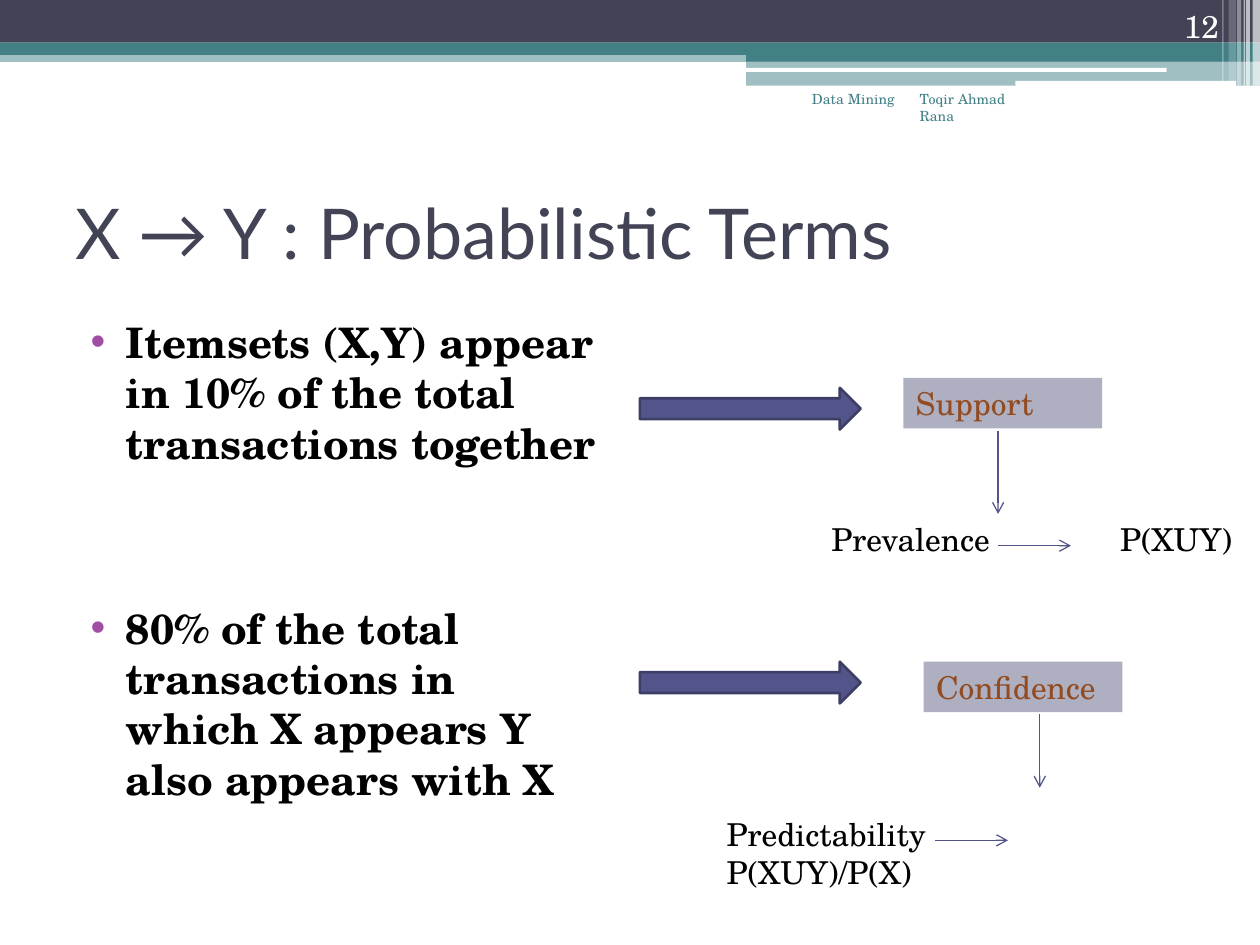
from pptx import Presentation
from pptx.dml.color import RGBColor
from pptx.enum.shapes import MSO_CONNECTOR, MSO_SHAPE
from pptx.enum.text import MSO_ANCHOR, PP_ALIGN
from pptx.oxml.ns import qn
from pptx.util import Cm, Pt
from lxml.etree import SubElement

BODY_FONT = "TeX Gyre Schola"
TITLE_FONT = "Lato"
NAVY, TEAL, WHITE, BLACK = "424456", "438086", "FFFFFF", "000000"
INDIGO, INDIGO_DARK = "53548A", "3D3E66"
LABEL_FILL, LABEL_TEXT, BULLET = "AEB0C1", "934C22", "A04DA3"

# Left, top, width, height, colour, opacity in percent
BANDS = [
    (0, 1.02, 25.4, 0.23, TEAL, 50),
    (0, 0, 25.4, 0.86, NAVY, 100),
    (0, 0.86, 25.4, 0.25, TEAL, 100),
    (15.04, 0.99, 10.36, 0.25, TEAL, 100),
    (15.04, 1.22, 10.36, 0.51, TEAL, 50),
]
WHITE_BARS = [(15.01, 1.37, 8.51, 0.08), (20.47, 1.63, 4.45, 0.1)]
# Left, width, height, opacity in percent
STRIPES = [
    (25.25, 0.15, 1.73, 65),
    (25.12, 0.08, 1.73, 65),
    (25.07, 0.03, 1.73, 60),
    (24.94, 0.08, 1.73, 40),
    (24.77, 0.15, 1.63, 20),
    (24.64, 0.03, 1.63, 30),
]


def paint(color_format, color):
    color_format.rgb = RGBColor.from_string(color)


def add_box(slide, box, color, kind=MSO_SHAPE.RECTANGLE, opacity=100, line=None):
    shape = slide.shapes.add_shape(kind, *map(Cm, box))
    shape.shadow.inherit = False
    shape.fill.solid()
    paint(shape.fill.fore_color, color)
    if opacity < 100:
        solid_color = shape.fill._xPr.find(qn("a:solidFill"))[0]
        SubElement(solid_color, qn("a:alpha"), val=str(opacity * 1000))
    if line:
        paint(shape.line.color, line)
        shape.line.width = Pt(1.5)
    else:
        shape.line.fill.background()
    return shape


def write(shape, *texts, size=18, color=BLACK, font=BODY_FONT, bold=False,
          align=PP_ALIGN.LEFT, anchor=MSO_ANCHOR.TOP):
    frame = shape.text_frame
    frame.word_wrap = True
    frame.vertical_anchor = anchor
    for index, text in enumerate(texts):
        paragraph = frame.add_paragraph() if index else frame.paragraphs[0]
        paragraph.alignment = align
        run = paragraph.add_run()
        run.text = text
        run.font.size, run.font.name, run.font.bold = Pt(size), font, bold
        paint(run.font.color, color)
    return frame


def add_text(slide, box, *texts, **text_format):
    return write(slide.shapes.add_textbox(*map(Cm, box)), *texts, **text_format)


def add_bullet(paragraph, space_before):
    paragraph.space_before = Pt(space_before)
    properties = paragraph._p.get_or_add_pPr()
    properties.set("marL", str(Cm(1.02)))
    properties.set("indent", str(-Cm(0.71)))
    bullet_color = SubElement(properties, qn("a:buClr"))
    SubElement(bullet_color, qn("a:srgbClr"), val=BULLET)
    SubElement(properties, qn("a:buFont"), typeface="Arial")
    SubElement(properties, qn("a:buChar"), char="•")


def add_thin_arrow(slide, *ends):
    connector = slide.shapes.add_connector(MSO_CONNECTOR.STRAIGHT, *map(Cm, ends))
    paint(connector.line.color, INDIGO)
    connector.line.width = Pt(0.75)
    SubElement(connector.line._get_or_add_ln(), qn("a:tailEnd"), type="arrow")
    SubElement(connector._element.spPr, qn("a:effectLst"))


def add_header(slide):
    for *box, color, opacity in BANDS:
        add_box(slide, box, color, opacity=opacity)
    for box in WHITE_BARS:
        add_box(slide, box, WHITE, MSO_SHAPE.ROUNDED_RECTANGLE)
    for left, width, height, opacity in STRIPES:
        add_box(slide, (left, 0, width, height), WHITE, opacity=opacity)
    add_text(slide, (14.61, 1.7, 3.68, 1.27), "Data Mining",
             size=8, color=TEAL, align=PP_ALIGN.RIGHT)
    add_text(slide, (18.29, 1.7, 2.67, 1.27), "Toqir Ahmad Rana", size=8, color=TEAL)
    add_text(slide, (22.71, 0, 2.11, 1.02), "12", color=WHITE,
             align=PP_ALIGN.RIGHT, anchor=MSO_ANCHOR.BOTTOM)


def add_title(slide, text):
    title = slide.shapes.title
    title.left, title.top, title.width, title.height = map(Cm, (1.27, 3.18, 22.86, 2.97))
    write(title, text, size=40, color=NAVY, font=TITLE_FONT, anchor=MSO_ANCHOR.MIDDLE)


def add_measure(slide, name, left, top, arrow_top):
    add_box(slide, (12.9, arrow_top, 4.45, 0.84), INDIGO,
            MSO_SHAPE.RIGHT_ARROW, line=INDIGO_DARK)
    label = add_box(slide, (left, top, 4.01, 1.02), LABEL_FILL)
    write(label, name, color=LABEL_TEXT)


def main():
    presentation = Presentation()
    presentation.slide_width, presentation.slide_height = Cm(25.4), Cm(19.05)
    slide = presentation.slides.add_slide(presentation.slide_layouts[5])

    add_header(slide)
    add_title(slide, "X → Y : Probabilistic Terms")

    # Statements on the left
    statements = add_text(
        slide, (1.27, 6.25, 11, 12.01),
        "Itemsets (X,Y) appear in 10% of the total transactions together",
        "80% of the total transactions in which X appears Y also appears with X",
        size=24, bold=True)
    for paragraph, space_before in zip(statements.paragraphs, (3, 77)):
        add_bullet(paragraph, space_before)

    # Support and its probability
    add_measure(slide, "Support", 18.21, 7.62, 7.82)
    add_thin_arrow(slide, 20.12, 8.69, 20.12, 10.36)
    add_text(slide, (16.51, 10.36, 4, 1.02), "Prevalence")
    add_thin_arrow(slide, 20.12, 11, 21.59, 11)
    add_text(slide, (22.33, 10.36, 3.07, 1.02), "P(XUY)")

    # Confidence and its probability
    add_measure(slide, "Confidence", 18.62, 13.34, 13.34)
    add_thin_arrow(slide, 20.96, 14.4, 20.96, 15.88)
    add_text(slide, (14.4, 16.31, 10.59, 1.78), "Predictability", "P(XUY)/P(X)")
    add_thin_arrow(slide, 18.85, 16.94, 20.32, 16.94)

    presentation.save("out.pptx")


main()
